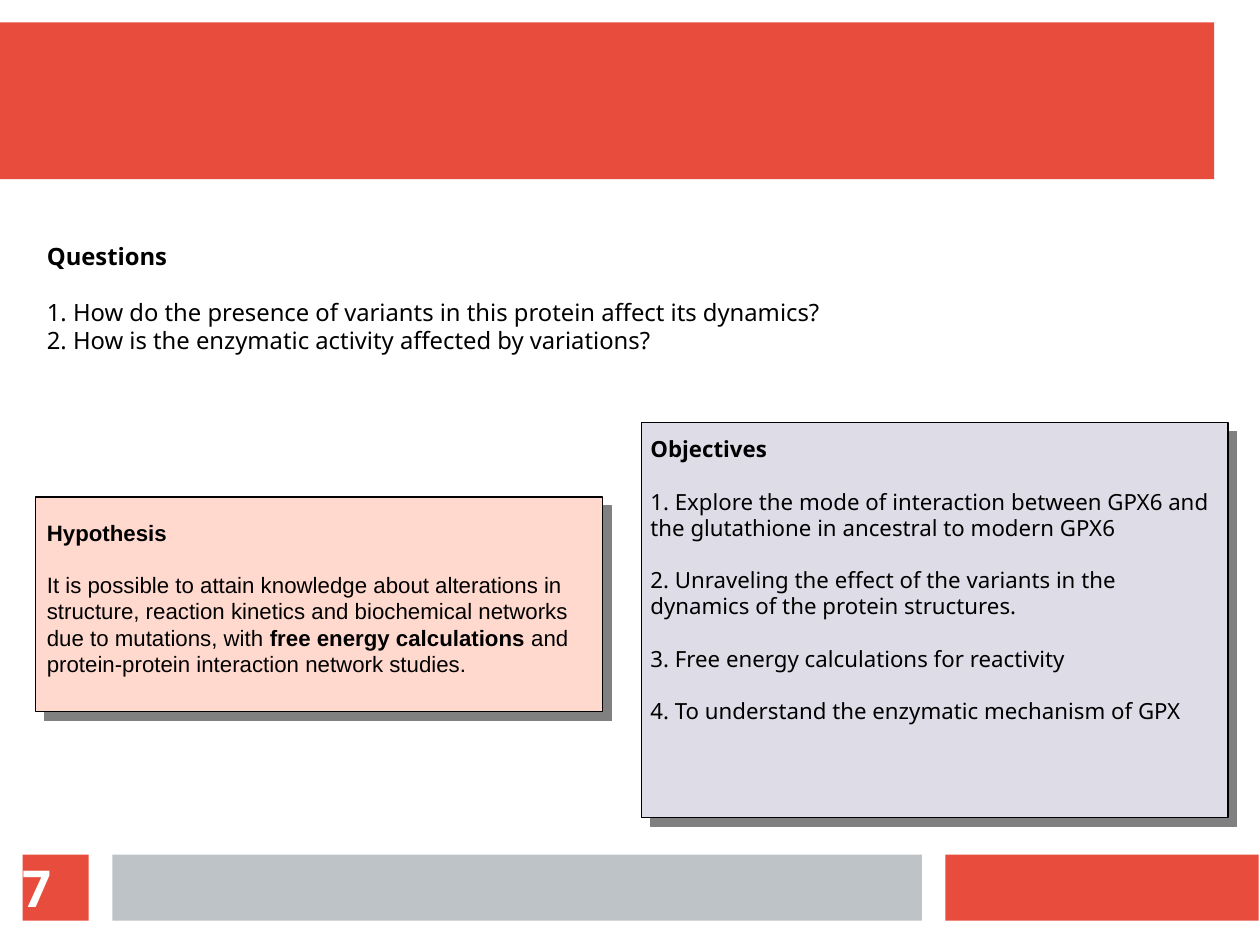
from dataclasses import dataclass

from lxml import etree
from pptx import Presentation
from pptx.dml.color import RGBColor
from pptx.enum.shapes import MSO_SHAPE
from pptx.enum.text import MSO_ANCHOR, MSO_AUTO_SIZE, PP_ALIGN
from pptx.oxml.ns import qn
from pptx.util import Cm, Inches, Pt

RECT = MSO_SHAPE.RECTANGLE
TOP, MIDDLE = MSO_ANCHOR.TOP, MSO_ANCHOR.MIDDLE
LEFT = PP_ALIGN.LEFT
FIXED = MSO_AUTO_SIZE.NONE

RED = RGBColor(0xE7, 0x4C, 0x3C)
GREY = RGBColor(0xBD, 0xC3, 0xC7)
LILAC = RGBColor(0xDE, 0xDC, 0xE6)
PEACH = RGBColor(0xFF, 0xD8, 0xCE)
BLACK = RGBColor(0, 0, 0)
WHITE = RGBColor(0xFF, 0xFF, 0xFF)
SHADE = RGBColor(0x80, 0x80, 0x80)

WIDTH, HEIGHT = Cm(28), Cm(21)
LEADING = 1.2 * 0.98
SANS = "Noto Sans"


@dataclass
class Area:
    left: float
    top: float
    width: float
    height: float

    def format(self) -> dict:
        return {
            "left": round(WIDTH * self.left / 100),
            "top": round(HEIGHT * self.top / 100),
            "width": round(WIDTH * self.width / 100),
            "height": round(HEIGHT * self.height / 100),
        }


@dataclass
class Panel:
    area: Area
    fill: RGBColor
    raised: bool = False


@dataclass
class Line:
    text: str
    gap: int = 0


@dataclass
class Block:
    slot: int
    area: Area
    size: int
    font: str
    lines: list[Line]


FOOT, DEPTH = 90.43, 7.01
PANELS = [
    Panel(Area(0, 2.38, 96.37, 16.57), RED),
    Panel(Area(75.03, FOOT, 24.86, DEPTH), RED),
    Panel(Area(8.92, FOOT, 64.25, DEPTH), GREY),
    Panel(Area(50.91, 44.7, 46.55, 41.8), LILAC, True),
    Panel(Area(2.81, 52.6, 45.04, 22.73), PEACH, True),
]
BADGE = Panel(Area(1.79, FOOT, 5.24, DEPTH), RED)

BLOCKS = [
    Block(0, Area(2.81, 25.03, 77.77, 15.24), 15, SANS, [
        Line("*Questions*"),
        Line("1. How do the presence of variants in this protein affect its dynamics?", 1),
        Line("2. How is the enzymatic activity affected by variations?"),
    ]),
    Block(1, Area(50.71, 45.55, 46.55, 48.85), 14, SANS, [
        Line("*Objectives*"),
        Line("1. Explore the mode of interaction between GPX6 and "
             "the glutathione in ancestral to modern GPX6", 1),
        Line("2. Unraveling the effect of the variants in the "
             "dynamics of the protein structures.", 1),
        Line("3. Free energy calculations for reactivity", 1),
        Line("4. To understand the enzymatic mechanism of GPX", 1),
    ]),
    Block(2, Area(2.81, 54.4, 45.01, 19.95), 14, "Arial", [
        Line("*Hypothesis*"),
        Line("It is possible to attain knowledge about alterations in structure, "
             "reaction kinetics and biochemical networks due to mutations, with "
             "*free energy calculations* and protein-protein interaction network studies.", 1),
    ]),
]


def apply(target, values: dict) -> None:
    for name, value in values.items():
        setattr(target, name, value)


def draw_panel(slide, panel: Panel):
    shape = slide.shapes.add_shape(RECT, *panel.area.format().values())
    shape.shadow.inherit = False
    shape.fill.solid()
    shape.fill.fore_color.rgb = panel.fill
    if not panel.raised:
        shape.line.fill.background()
        return shape
    shape.line.color.rgb = BLACK
    shape.line.width = Pt(0.75)
    effects = shape._element.spPr.find(qn("a:effectLst"))
    shadow = etree.SubElement(effects, qn("a:outerShdw"), blurRad="0",
                              dist=str(Pt(8)), dir="2700000", algn="tl", rotWithShape="0")
    etree.SubElement(shadow, qn("a:srgbClr"), val=str(SHADE))
    return shape


def write_line(para, line: Line, size: int, font: str, color: RGBColor) -> None:
    pitch = Pt(size * LEADING)
    apply(para, {"alignment": LEFT, "line_spacing": pitch,
                 "space_before": pitch * line.gap, "space_after": Pt(0)})
    props = para._p.get_or_add_pPr()
    props.set("marL", "0")
    props.set("indent", "0")
    etree.SubElement(props, qn("a:buNone"))
    for index, part in enumerate(line.text.split("*")):
        if part:
            run = para.add_run()
            run.text = part
            apply(run.font, {"size": Pt(size), "name": font, "bold": index % 2 == 1})
            run.font.color.rgb = color


def fill_block(slide, block: Block) -> None:
    holder = slide.placeholders[block.slot]
    apply(holder, block.area.format())
    slide.shapes._spTree.append(holder._element)
    frame = holder.text_frame
    apply(frame, {"word_wrap": True, "auto_size": FIXED, "vertical_anchor": TOP,
                  "margin_left": Inches(0.1), "margin_right": Inches(0.1),
                  "margin_top": Inches(0.05), "margin_bottom": Inches(0.05)})
    for index, line in enumerate(block.lines):
        para = frame.add_paragraph() if index else frame.paragraphs[0]
        write_line(para, line, block.size, block.font, BLACK)


def draw_badge(slide) -> None:
    frame = draw_panel(slide, BADGE).text_frame
    apply(frame, {"vertical_anchor": MIDDLE, "margin_left": 0, "margin_right": 0,
                  "margin_top": 0, "margin_bottom": 0})
    write_line(frame.paragraphs[0], Line("*7*"), 32, SANS, WHITE)


def main() -> None:
    deck = Presentation()
    apply(deck, {"slide_width": WIDTH, "slide_height": HEIGHT})
    slide = deck.slides.add_slide(deck.slide_layouts[3])
    for panel in PANELS:
        draw_panel(slide, panel)
    draw_badge(slide)
    for block in BLOCKS:
        fill_block(slide, block)
    deck.save("out.pptx")


if __name__ == "__main__":
    main()
